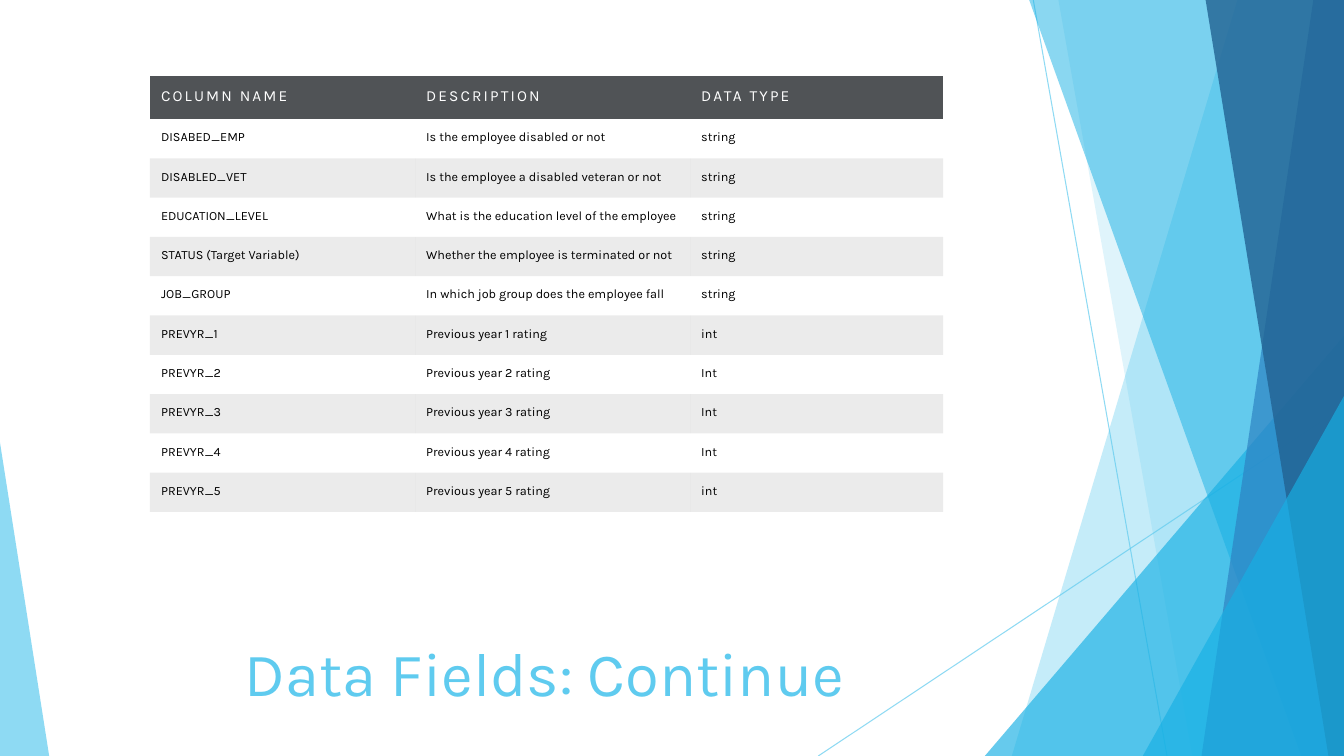
from dataclasses import dataclass

from pptx import Presentation
from pptx.dml.color import RGBColor
from pptx.enum import shapes, text
from pptx.oxml import ns, xmlchemy
from pptx.util import Cm, Pt


@dataclass(frozen=True)
class Theme:
    font: str = "Karla"
    sky: str = "5FCBEF"
    cyan: str = "17B0E4"
    blue: str = "2E83C3"
    navy: str = "226292"
    header: str = "505356"
    black: str = "000000"
    white: str = "FFFFFF"
    title_size: int = 44
    header_size: int = 11
    body_size: int = 9


THEME = Theme()
WIDTH, HEIGHT = 33.87, 19.05
NO_GRID_STYLE = "{2D5ABB26-0587-4C30-8999-92F81FD0307C}"

# Lines: start x, start y, end x, end y
LINES = [(26.04, 0, 29.41, HEIGHT), (WIDTH, 10.24, 20.62, HEIGHT)]

# Facets reach the right edge: top x, bottom x, colour, opacity
BACK_FACETS = [(31.19, 25.5, THEME.sky, 36), (26.67, 30.05, THEME.sky, 20)]
FRONT_FACETS = [
    (25.93, 32.79, THEME.cyan, 50),
    (33.1, 30.28, THEME.blue, 70),
    (30.38, 33.48, THEME.navy, 80),
]

COLUMN_WIDTHS = [6.68, 6.93, 6.38]
HEADER_HEIGHT, ROW_HEIGHT = 1.09, 0.99
FIELDS = [
    ("COLUMN NAME", "DESCRIPTION", "DATA TYPE"),
    ("DISABED_EMP", "Is the employee disabled or not", "string"),
    ("DISABLED_VET", "Is the employee a disabled veteran or not", "string"),
    ("EDUCATION_LEVEL", "What is the education level of the employee", "string"),
    ("STATUS (Target Variable)", "Whether the employee is terminated or not", "string"),
    ("JOB_GROUP", "In which job group does the employee fall", "string"),
] + [
    (f"PREVYR_{year}", f"Previous year {year} rating", data_type)
    for year, data_type in enumerate(["int", "Int", "Int", "Int", "int"], 1)
]


def set_opacity(properties, percent):
    color = next(properties.iter(ns.qn("a:srgbClr")))
    xmlchemy.OxmlElement("a:alpha")
    alpha = color.makeelement(ns.qn("a:alpha"), {"val": str(percent * 1000)})
    color.append(alpha)


def set_fill(fill, color):
    fill.solid()
    fill.fore_color.rgb = RGBColor.from_string(color)


def style_run(run, size, color):
    run.font.name = THEME.font
    run.font.size = Pt(size)
    run.font.color.rgb = RGBColor.from_string(color)


def style_facet(shape, color, opacity):
    shape.shadow.inherit = False
    set_fill(shape.fill, color)
    set_opacity(shape._element.spPr, opacity)
    shape.line.fill.background()


def add_line(slide, start_x, start_y, end_x, end_y):
    line = slide.shapes.add_connector(
        shapes.MSO_CONNECTOR.STRAIGHT, Cm(start_x), Cm(start_y), Cm(end_x), Cm(end_y))
    line.line.color.rgb = RGBColor.from_string(THEME.sky)
    line.line.width = Pt(0.75)
    properties = line._element.spPr
    set_opacity(properties, 70)
    properties.append(xmlchemy.OxmlElement("a:effectLst"))


def add_facet(slide, top_x, bottom_x, color, opacity):
    builder = slide.shapes.build_freeform(Cm(top_x), Cm(-0.02))
    corners = [(WIDTH, -0.02), (WIDTH, HEIGHT), (bottom_x, HEIGHT)]
    builder.add_line_segments([(Cm(x), Cm(y)) for x, y in corners], close=True)
    style_facet(builder.convert_to_shape(), color, opacity)


def add_triangle(slide, left, top, width, apex, color, opacity):
    """Add a triangle that stands on the bottom edge of the slide."""
    shape = slide.shapes.add_shape(
        shapes.MSO_SHAPE.ISOSCELES_TRIANGLE,
        Cm(left), Cm(top), Cm(width), Cm(HEIGHT - top))
    shape.adjustments[0] = apex
    style_facet(shape, color, opacity)


def fill_cell(cell, content, row):
    cell.margin_left = cell.margin_right = Cm(0.28)
    cell.margin_top = cell.margin_bottom = Cm(0.28)
    cell.text_frame.text = content
    run = cell.text_frame.paragraphs[0].runs[0]
    if row == 0:
        set_fill(cell.fill, THEME.header)
        style_run(run, THEME.header_size, THEME.white)
        run.font._element.set("spc", "150")
        return
    style_run(run, THEME.body_size, THEME.black)
    if row % 2 == 0:
        set_fill(cell.fill, THEME.black)
        set_opacity(cell._tc.tcPr, 8)
    else:
        cell.fill.background()


def add_field_table(slide, left, top):
    height = HEADER_HEIGHT + ROW_HEIGHT * (len(FIELDS) - 1)
    table = slide.shapes.add_table(
        len(FIELDS), len(COLUMN_WIDTHS),
        Cm(left), Cm(top), Cm(sum(COLUMN_WIDTHS)), Cm(height)).table
    table.first_row = table.horz_banding = False
    table._tbl.tblPr.find(ns.qn("a:tableStyleId")).text = NO_GRID_STYLE
    for column, width in zip(table.columns, COLUMN_WIDTHS):
        column.width = Cm(width)
    for row, contents in enumerate(FIELDS):
        table.rows[row].height = Cm(ROW_HEIGHT if row else HEADER_HEIGHT)
        for column, content in enumerate(contents):
            fill_cell(table.cell(row, column), content, row)


def add_title(slide, content, left, top, width, height):
    text_frame = slide.shapes.add_textbox(
        Cm(left), Cm(top), Cm(width), Cm(height)).text_frame
    text_frame.word_wrap = True
    text_frame.vertical_anchor = text.MSO_ANCHOR.BOTTOM
    text_frame.text = content
    style_run(text_frame.paragraphs[0].runs[0], THEME.title_size, THEME.sky)


def main():
    presentation = Presentation()
    presentation.slide_width, presentation.slide_height = Cm(WIDTH), Cm(HEIGHT)
    slide = presentation.slides.add_slide(presentation.slide_layouts[6])

    # Faceted decoration, back to front
    for line in LINES:
        add_line(slide, *line)
    for facet in BACK_FACETS:
        add_facet(slide, *facet)
    add_triangle(slide, 24.82, 8.46, 9.05, 1, THEME.cyan, 66)
    for facet in FRONT_FACETS:
        add_facet(slide, *facet)
    add_triangle(slide, 28.8, 9.98, 5.07, 1, THEME.cyan, 66)
    add_triangle(slide, 0, 11.15, 1.24, 0, THEME.sky, 70)

    # Field table and title
    add_field_table(slide, 3.78, 1.91)
    add_title(slide, "Data Fields: Continue", 5.92, 14.94, 15.72, 3.05)

    presentation.save("out.pptx")


if __name__ == "__main__":
    main()
